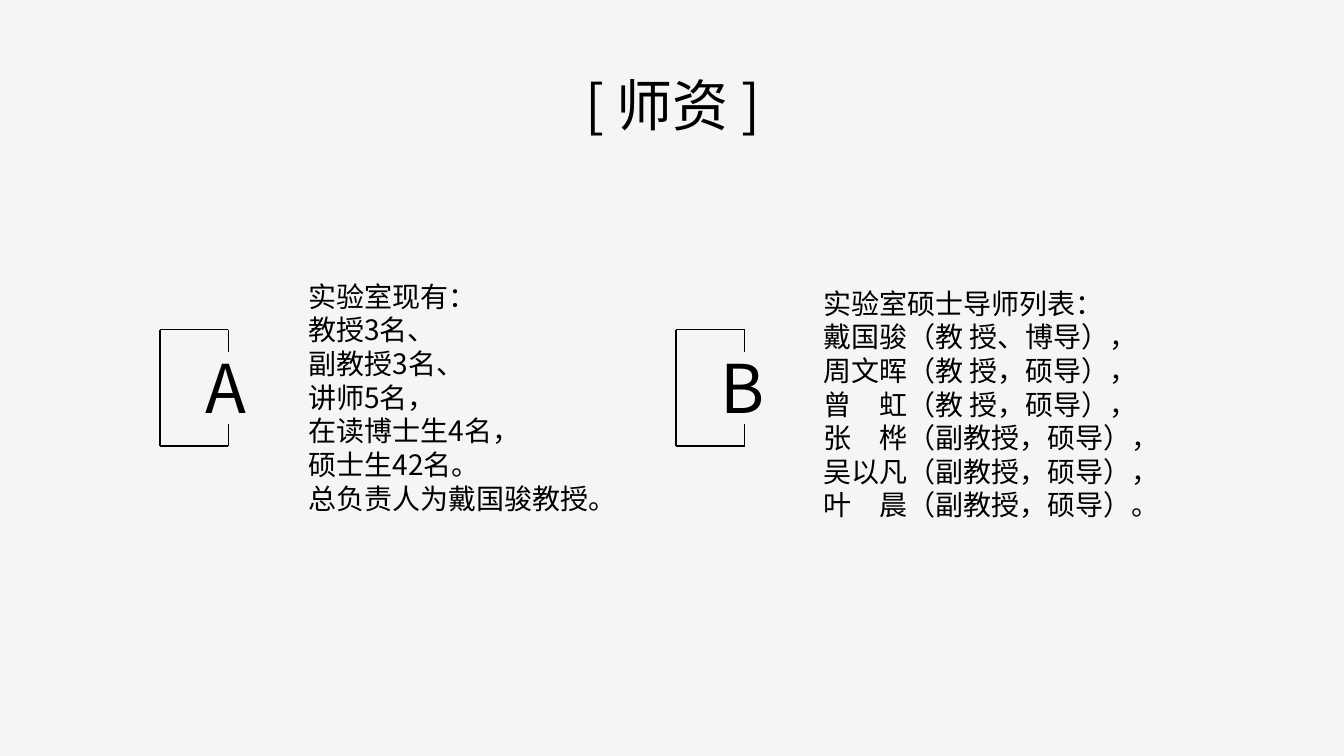
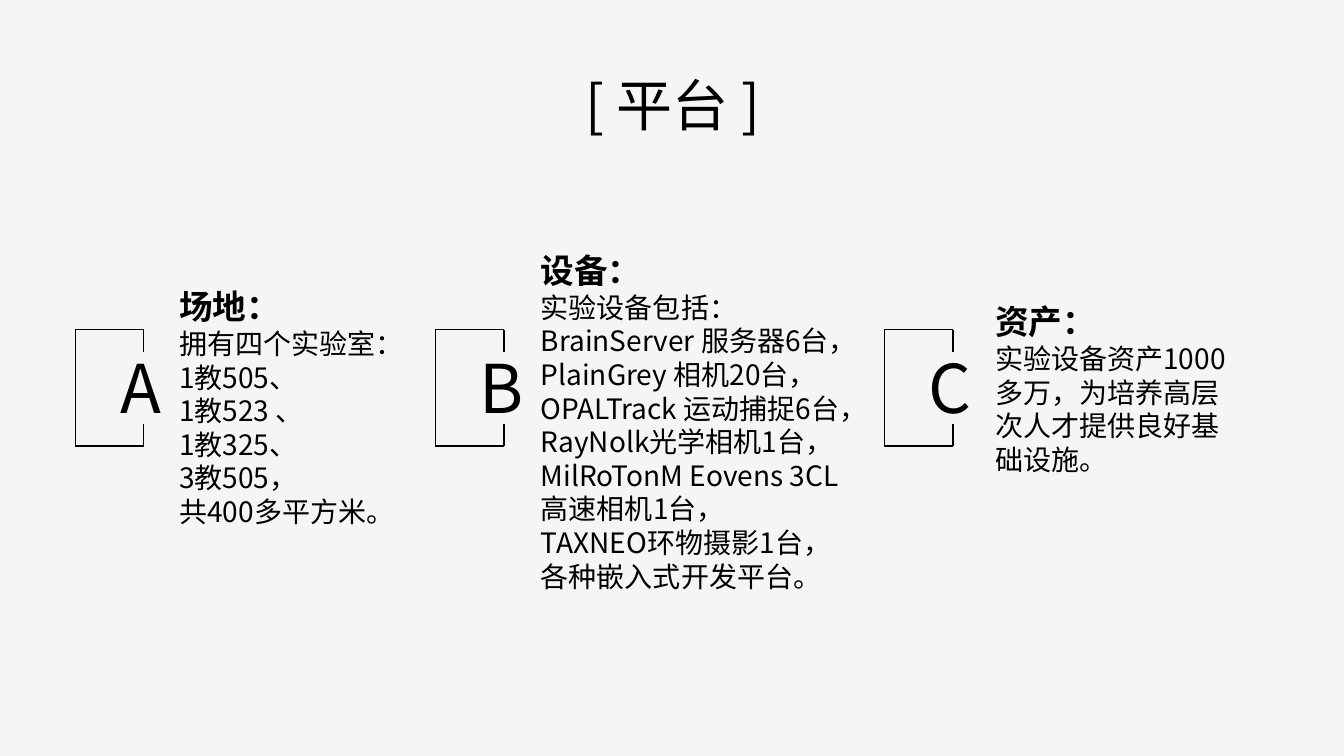
from dataclasses import dataclass

from lxml import etree
from pptx import Presentation
from pptx.dml.color import RGBColor
from pptx.enum.shapes import MSO_CONNECTOR
from pptx.enum.text import MSO_AUTO_SIZE, PP_ALIGN
from pptx.oxml.ns import qn
from pptx.util import Inches, Pt

LINE = MSO_CONNECTOR.STRAIGHT
GROW = MSO_AUTO_SIZE.SHAPE_TO_FIT_TEXT
LEFT, MID = PP_ALIGN.LEFT, PP_ALIGN.CENTER
WIDE, HIGH = Inches(13.33), Inches(7.5)


@dataclass(frozen=True)
class Theme:
    ink: RGBColor = RGBColor(0, 0, 0)
    paper: RGBColor = RGBColor(0xF5, 0xF5, 0xF5)
    face: str = "Noto Sans CJK SC"
    title: int = 40
    letter: int = 48
    head: int = 24
    body: int = 20
    rule: int = 1


THEME = Theme()
MARK_TOP, MARK_WIDE, MARK_HIGH, TICK = 43.6, 5.1, 15.4, 2.9

STAFF = [
    ("A", 11.9, (22.2, 36.3, 26.7, 32.8), None, [
        "实验室现有：", "教授3名、", "副教授3名、", "讲师5名，",
        "在读博士生4名，", "硕士生42名。", "总负责人为戴国骏教授。"]),
    ("B", 50.3, (60.5, 37.2, 28.1, 32.8), None, [
        "实验室硕士导师列表：", "戴国骏（教 授、博导），",
        "周文晖（教 授，硕导），", "曾　虹（教 授，硕导），",
        "张　桦（副教授，硕导），", "吴以凡（副教授，硕导），",
        "叶　晨（副教授，硕导）。"]),
]
PLANT = [
    ("A", 5.6, (12.6, 37.2, 18.3, 33.6), "场地：", [
        "拥有四个实验室：", "1教505、", "1教523 、", "1教325、",
        "3教505，", "共400多平方米。"]),
    ("B", 32.4, (39.5, 32.4, 24.2, 47.1), "设备：", [
        "实验设备包括：", "BrainServer 服务器6台，",
        "PlainGrey 相机20台， OPALTrack 运动捕捉6台，",
        "RayNolk光学相机1台， MilRoTonM Eovens 3CL高速相机1台，",
        "TAXNEO环物摄影1台，", "各种嵌入式开发平台。"]),
    ("C", 65.8, (73.3, 39.2, 19.7, 24.7), "资产：", [
        "实验设备资产1000多万，为培养高层次人才提供良好基础设施。"]),
]


def across(share):
    return round(WIDE * share / 100)


def down(share):
    return round(HIGH * share / 100)


def place(left, top, wide, high):
    return across(left), down(top), across(wide), down(high)


def style(run, size, bold=False):
    looks = {"name": THEME.face, "size": Pt(size), "bold": bold}
    for key, value in looks.items():
        setattr(run.font, key, value)
    run.font.color.rgb = THEME.ink
    east = etree.SubElement(run._r.get_or_add_rPr(), qn("a:ea"))
    east.set("typeface", THEME.face)


def add_text(shapes, area, lines, align=LEFT):
    frame = shapes.add_textbox(*place(*area)).text_frame
    for key, value in {"word_wrap": True, "auto_size": GROW}.items():
        setattr(frame, key, value)
    for index, (text, size, bold) in enumerate(lines):
        para = frame.add_paragraph() if index else frame.paragraphs[0]
        para.alignment = align
        run = para.add_run()
        run.text = text
        style(run, size, bold)


def add_line(shapes, start, end):
    line = shapes.add_connector(
        LINE, across(start[0]), down(start[1]), across(end[0]), down(end[1]))
    line.line.color.rgb = THEME.ink
    line.line.width = Pt(THEME.rule)
    etree.SubElement(line._element.spPr, qn("a:effectLst"))


def add_mark(slide, letter, left):
    shapes = slide.shapes.add_group_shape().shapes
    right, base = left + MARK_WIDE, MARK_TOP + MARK_HIGH
    for start, end in (
        ((left, MARK_TOP), (right, MARK_TOP)),
        ((left, base), (right, base)),
        ((left, MARK_TOP), (left, base)),
        ((right, MARK_TOP), (right, MARK_TOP + TICK)),
        ((right, base - TICK), (right, base)),
    ):
        add_line(shapes, start, end)
    area = (left + MARK_WIDE / 2, MARK_TOP + 1.6, 4.7, 12.1)
    add_text(shapes, area, [(letter, THEME.letter, False)], MID)


def add_page(deck, title, items):
    slide = deck.slides.add_slide(deck.slide_layouts[6])
    area = (35.5, 8.7, 29.1, 10.3)
    add_text(slide.shapes, area, [(f"[ {title} ]", THEME.title, False)], MID)
    for letter, left, area, head, body in items:
        add_mark(slide, letter, left)
        lines = [(head, THEME.head, True)] if head else []
        lines += [(text, THEME.body, False) for text in body]
        add_text(slide.shapes, area, lines)


def main():
    deck = Presentation()
    deck.slide_width, deck.slide_height = WIDE, HIGH
    fill = deck.slide_master.background.fill
    fill.solid()
    fill.fore_color.rgb = THEME.paper
    for title, items in (("师资", STAFF), ("平台", PLANT)):
        add_page(deck, title, items)
    deck.save("out.pptx")


if __name__ == "__main__":
    main()
